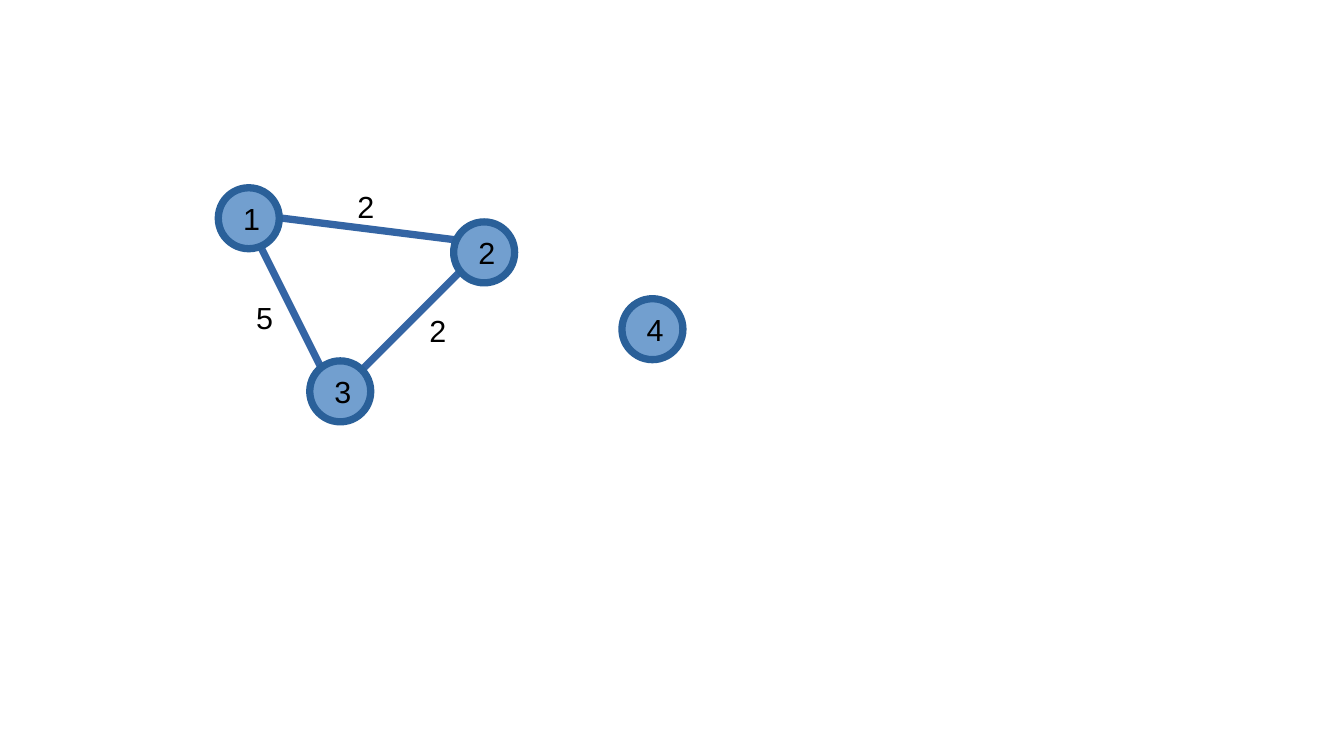
from dataclasses import dataclass

from lxml import etree
from pptx import Presentation
from pptx import util as u
from pptx.dml.color import RGBColor
from pptx.enum import shapes, text
from pptx.oxml import ns


@dataclass(frozen=True)
class Theme:
    edge: RGBColor = RGBColor.from_string("3465A4")
    fill: RGBColor = RGBColor.from_string("729FCF")
    outline: RGBColor = RGBColor.from_string("2A6099")
    ink: RGBColor = RGBColor.from_string("000000")
    font: str = "Arial"
    size: u.Pt = u.Pt(18)
    stroke: u.Pt = u.Pt(4.31)


THEME = Theme()
NODE_SIZE = 0.5
LABEL_SIZE = (0.5, 0.38)
ENDS = {"1": (2, 1.75), "2": (4, 2), "3": (2.75, 3.25)}
EDGES = [("1", "3"), ("2", "3"), ("1", "2")]
NODES = {"1": (1.79, 1.54), "2": (3.72, 1.82), "3": (2.54, 2.96), "4": (5.1, 2.45)}
WEIGHTS = [("2", 2.75, 1.5), ("2", 3.34, 2.52), ("5", 1.92, 2.41)]


def assign(target, values):
    for name, value in values.items():
        setattr(target, name, value)


def write(shape, words, across, down):
    frame = shape.text_frame
    assign(frame, {
        "word_wrap": True,
        "vertical_anchor": text.MSO_ANCHOR.MIDDLE,
        "margin_left": u.Inches(across),
        "margin_right": u.Inches(across),
        "margin_top": u.Inches(down),
        "margin_bottom": u.Inches(down),
    })
    para = frame.paragraphs[0]
    para.alignment = text.PP_ALIGN.CENTER
    span = para.add_run()
    span.text = words
    assign(span.font, {"name": THEME.font, "size": THEME.size})
    span.font.color.rgb = THEME.ink


def add_edge(page, start, end):
    points = [u.Inches(value) for value in (*ENDS[start], *ENDS[end])]
    edge = page.shapes.add_connector(shapes.MSO_CONNECTOR.STRAIGHT, *points)
    edge.line.color.rgb = THEME.edge
    edge.line.width = THEME.stroke
    etree.SubElement(edge._element.spPr, ns.qn("a:effectLst"))


def add_node(page, name, left, top):
    bounds = [u.Inches(value) for value in (left, top, NODE_SIZE, NODE_SIZE)]
    node = page.shapes.add_shape(shapes.MSO_SHAPE.OVAL, *bounds)
    node.shadow.inherit = False
    node.fill.solid()
    node.fill.fore_color.rgb = THEME.fill
    node.line.color.rgb = THEME.outline
    node.line.width = THEME.stroke
    write(node, name, 0.13, 0.08)


def add_weight(page, weight, left, top):
    bounds = [u.Inches(value) for value in (left, top, *LABEL_SIZE)]
    box = page.shapes.add_textbox(*bounds)
    write(box, weight, 0.1, 0.05)
    box.text_frame.auto_size = text.MSO_AUTO_SIZE.SHAPE_TO_FIT_TEXT


def main():
    deck = Presentation()
    assign(deck, {"slide_width": u.Inches(11.02), "slide_height": u.Inches(6.2)})
    page = deck.slides.add_slide(deck.slide_layouts[6])
    for start, end in EDGES:
        add_edge(page, start, end)
    for name, (left, top) in NODES.items():
        add_node(page, name, left, top)
    for weight, left, top in WEIGHTS:
        add_weight(page, weight, left, top)
    deck.save("out.pptx")


if __name__ == "__main__":
    main()
